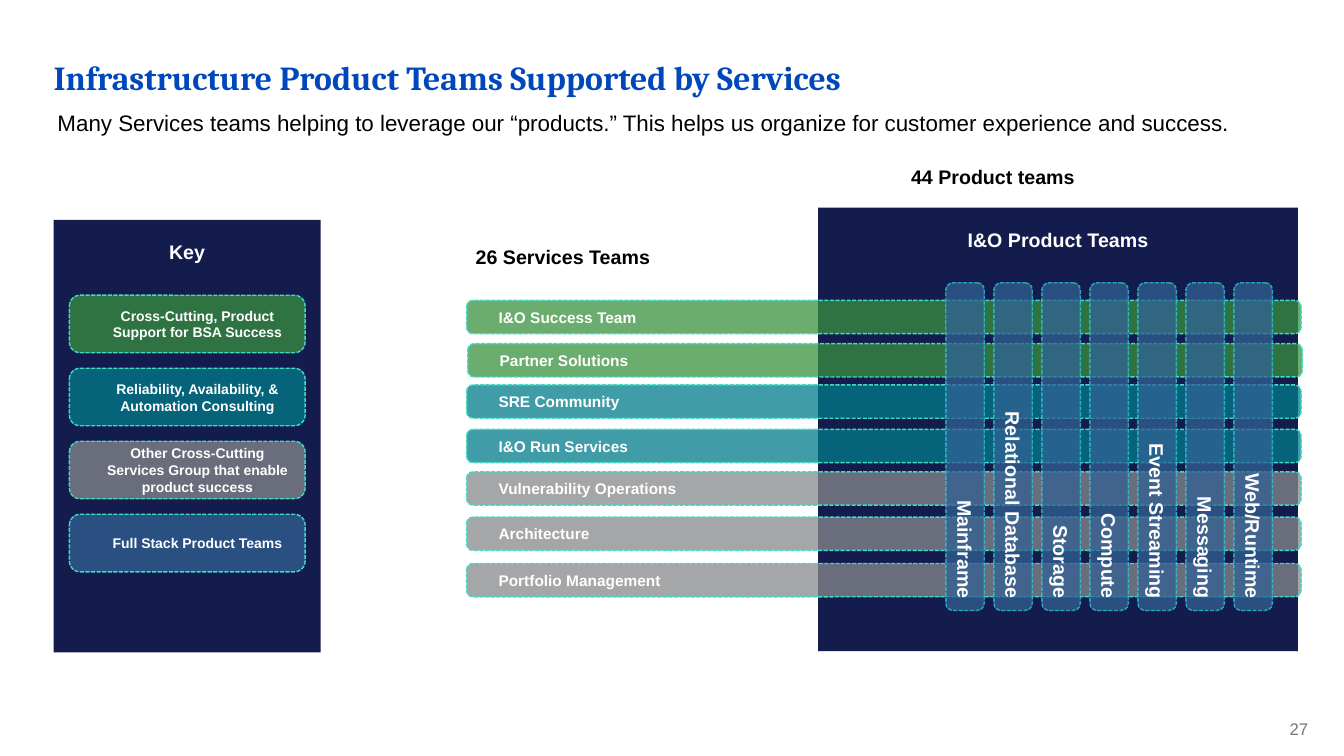
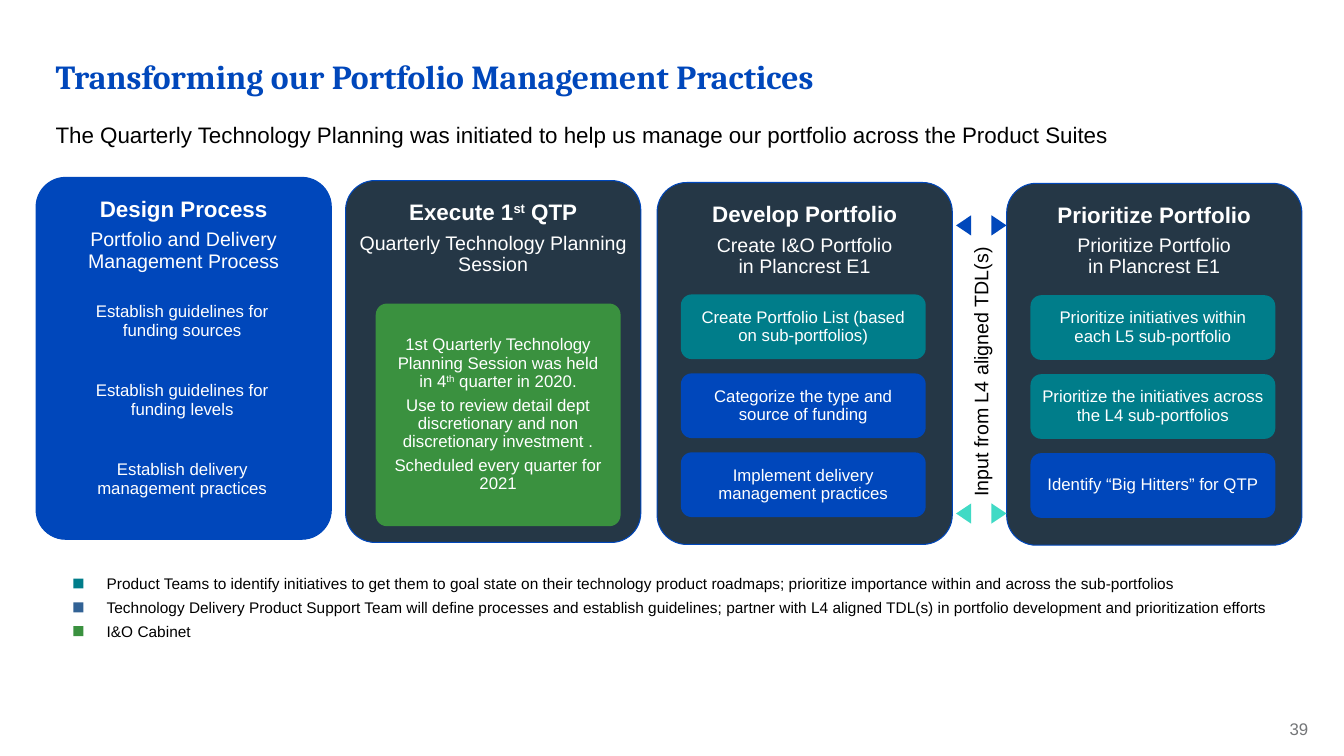
from lxml import etree
from pptx import Presentation
from pptx.dml.color import RGBColor
from pptx.enum.dml import MSO_LINE
from pptx.enum.shapes import MSO_SHAPE as Form
from pptx.enum.text import MSO_ANCHOR as Anchor, PP_ALIGN as Align
from pptx.oxml.ns import qn
from pptx.util import Cm, Pt

BLUE, NAVY, SLATE = "0047BB", "141B4D", "253746"
GREEN, TEAL, GRAY, STEEL = "3A913F", "007D8A", "87898B", "326295"
MINT, AQUA, MUTE = "40DAC5", "30CDD7", "747678"
WHITE, BLACK = "FFFFFF", "000000"
SANS, SERIF = "Arial", "Cambria"
LEFT, MID, RIGHT = Align.LEFT, Align.CENTER, Align.RIGHT

BARS = [
    ("I&O Success Team", 11.76, 7.57, GREEN),
    ("Partner Solutions", 11.79, 8.66, GREEN),
    ("SRE Community", 11.76, 9.7, TEAL),
    ("I&O Run Services", 11.76, 10.82, TEAL),
    ("Vulnerability Operations", 11.76, 11.89, GRAY),
    ("Architecture", 11.76, 13.03, GRAY),
    ("Portfolio Management", 11.76, 14.2, GRAY),
]
KEYS = [
    ("Cross-Cutting, Product Support for BSA Success", GREEN),
    ("Reliability, Availability, &\nAutomation Consulting", TEAL),
    ("Other Cross-Cutting\nServices Group that enable product success", GRAY),
    ("Full Stack Product Teams", STEEL),
]
TEAMS = ["Mainframe", "Relational Database", "Storage", "Compute",
         "Event Streaming", "Messaging", "Web/Runtime"]
CARDS = [
    (0.91, 4.47, BLUE, "Design Process",
     "Portfolio and Delivery Management Process",
     [("Establish guidelines for funding sources", BLUE),
      ("Establish guidelines for funding levels", BLUE),
      ("Establish delivery management practices", BLUE)]),
    (8.71, 4.55, SLATE, "Execute 1^st^ QTP",
     "Quarterly Technology Planning Session", []),
    (16.56, 4.6, SLATE, "Develop Portfolio",
     "Create I&O Portfolio\nin Plancrest E1",
     [("Create Portfolio List (based on sub-portfolios)", TEAL),
      ("Categorize the type and source of funding", BLUE),
      ("Implement delivery management practices", BLUE)]),
    (25.37, 4.62, SLATE, "Prioritize Portfolio",
     "Prioritize Portfolio\nin Plancrest E1",
     [("Prioritize initiatives within each L5 sub-portfolio", TEAL),
      ("Prioritize the initiatives across the L4 sub-portfolios", TEAL),
      ("Identify “Big Hitters” for QTP", BLUE)]),
]
QUARTER = [
    "1st Quarterly Technology Planning Session was held in 4^th^ quarter in 2020.",
    "Use to review detail dept discretionary and non discretionary investment .",
    "Scheduled every quarter for 2021",
]
NOTES = [
    ("Product Teams to identify initiatives to get them to goal state on their "
     "technology product roadmaps; prioritize importance within and across the "
     "sub-portfolios", TEAL),
    ("Technology Delivery Product Support Team will define processes and establish "
     "guidelines; partner with L4 aligned TDL(s) in portfolio development and "
     "prioritization efforts", STEEL),
    ("I&O Cabinet", GREEN),
]


def tint(color, value, alpha=100):
    color.rgb = RGBColor.from_string(value)
    if alpha < 100:
        node = color._xFill.find(qn("a:srgbClr"))
        etree.SubElement(node, qn("a:alpha")).set("val", str(alpha * 1000))


def pad(frame, left, top, right, base):
    frame.margin_left, frame.margin_top = Cm(left), Cm(top)
    frame.margin_right, frame.margin_bottom = Cm(right), Cm(base)


def say(frame, text, size, color=WHITE, bold=False, align=LEFT,
        font=SANS, lead=1.0, after=0):
    for line in text.split("\n"):
        para = frame.paragraphs[0]
        if para.runs:
            para = frame.add_paragraph()
        para.alignment, para.line_spacing = align, lead
        para.space_after = Pt(after)
        for i, part in enumerate(line.split("^")):
            run = para.add_run()
            run.text = part
            run.font.name, run.font.size, run.font.bold = font, Pt(size), bold
            tint(run.font.color, color)
            if i % 2:
                run._r.get_or_add_rPr().set("baseline", "30000")


def label(slide, text, box, size, color=BLACK, wrap=True, turn=0, **style):
    shape = slide.shapes.add_textbox(*map(Cm, box))
    shape.rotation = turn
    frame = shape.text_frame
    frame.word_wrap = wrap
    pad(frame, 0, 0, 0, 0)
    say(frame, text, size, color, **style)


def block(slide, form, box, fill, alpha=100, curve=None, turn=0):
    shape = slide.shapes.add_shape(form, *map(Cm, box))
    shape.shadow.inherit = False
    shape.rotation = turn
    shape.fill.solid()
    tint(shape.fill.fore_color, fill, alpha)
    shape.line.fill.background()
    if curve is not None:
        shape.adjustments[0] = curve
    frame = shape.text_frame
    frame.word_wrap = True
    frame.vertical_anchor = Anchor.MIDDLE
    return shape


def edge(shape, color, width, alpha=100):
    shape.line.fill.solid()
    tint(shape.line.fill.fore_color, color, alpha)
    shape.line.width = Pt(width)


def pill(slide, text, box, fill, size, align, line=MINT, alpha=100, turn=0):
    shape = block(slide, Form.ROUNDED_RECTANGLE, box, fill, 75, 0.186, turn)
    edge(shape, line, 1, alpha)
    shape.line.dash_style = MSO_LINE.SQUARE_DOT
    pad(shape.text_frame, 0.76, 0.13, 0.25, 0.13)
    say(shape.text_frame, text, size, bold=True, align=align)


def panel(slide, text, box):
    frame = block(slide, Form.RECTANGLE, box, NAVY).text_frame
    frame.vertical_anchor = Anchor.TOP
    pad(frame, 0.25, 0.51, 0.25, 0.13)
    say(frame, text, 14, bold=True, align=MID)


def step(slide, lines, box, fill, curve=None, side=0.18, head=0.15):
    shape = block(slide, Form.ROUNDED_RECTANGLE, box, fill, curve=curve)
    pad(shape.text_frame, side, head, side, head)
    for line in lines:
        say(shape.text_frame, line, 12, align=MID, lead=0.9, after=4.2)


def card(slide, left, top, fill, title, text, steps):
    shape = block(slide, Form.ROUNDED_RECTANGLE, (left, top, 7.44, 9.12),
                  fill, curve=0.1)
    edge(shape, BLUE, 0.75)
    frame = shape.text_frame
    frame.vertical_anchor = Anchor.TOP
    pad(frame, 0, 0.3, 0, 0)
    say(frame, title, 16, bold=True, align=MID, lead=0.9, after=5.6)
    say(frame, text, 14, align=MID, lead=0.9)
    for i, (line, color) in enumerate(steps):
        step(slide, [line], (left + 0.6, top + 2.82 + i * 1.99, 6.17, 1.63), color)


def start(deck, title, spot, lead, place, page):
    slide = deck.slides.add_slide(deck.slide_layouts[6])
    label(slide, title, (*spot, 31.06, 2.59), 24, BLUE,
          bold=True, font=SERIF, lead=0.9)
    label(slide, lead, (*place, 31.06, 0.84), 16, lead=1.12)
    label(slide, page, (30.86, 18.16, 2.11, 0.53), 12, MUTE, align=RIGHT, lead=0.9)
    return slide


def teams(deck):
    slide = start(
        deck, "Infrastructure Product Teams Supported by Services", (1.35, 1.55),
        "Many Services teams helping to leverage our “products.” This helps us "
        "organize for customer experience and success.", (1.45, 2.67), "27")
    panel(slide, "I&O Product Teams", (20.62, 5.23, 12.09, 11.18))
    for text, left, top, fill in BARS:
        pill(slide, text, (left, top, 21.03, 0.84), fill, 11, LEFT)
    panel(slide, "Key", (1.35, 5.54, 6.73, 10.9))
    for i, (text, fill) in enumerate(KEYS):
        pill(slide, text, (1.75, 7.44 + i * 1.84, 5.94, 1.45), fill, 10, MID)
    for i, text in enumerate(TEAMS):
        pill(slide, text, (20.19 + i * 1.21, 10.77, 8.26, 0.97), STEEL, 14,
             RIGHT, AQUA, 75, 90)
    for text, left, top in [("44 Product teams", 22.96, 4.09),
                            ("26 Services Teams", 11.99, 6.1)]:
        label(slide, text, (left, top, 6.45, 1.83), 14, bold=True, lead=1.12)


def plan(deck):
    slide = start(
        deck, "Transforming our Portfolio Management Practices", (1.4, 1.52),
        "The Quarterly Technology Planning was initiated to help us manage our "
        "portfolio across the Product Suites", (1.4, 2.97), "39")
    for item in CARDS:
        card(slide, *item)
    step(slide, QUARTER, (9.47, 7.65, 6.17, 5.61), GREEN, 0.05, 0.3, 0.28)
    label(slide, "Input from L4 aligned TDL(s)", (21.56, 9.07, 6.32, 0.61), 14,
          wrap=False, turn=270, align=MID)
    for top, fill in [(5.49, BLUE), (12.75, MINT)]:
        for left, turn in [(24.03, 270), (24.92, 90)]:
            block(slide, Form.ISOSCELES_TRIANGLE, (left, top, 0.51, 0.38),
                  fill, turn=turn)
    for i, (text, fill) in enumerate(NOTES):
        block(slide, Form.RECTANGLE, (1.85, 14.58 + i * 0.6, 0.25, 0.25), fill)
        label(slide, text, (2.69, 14.48 + i * 0.6, 30.5, 0.48), 11)


def main():
    deck = Presentation()
    deck.slide_width, deck.slide_height = Cm(33.87), Cm(19.05)
    teams(deck)
    plan(deck)
    deck.save("out.pptx")


if __name__ == "__main__":
    main()
